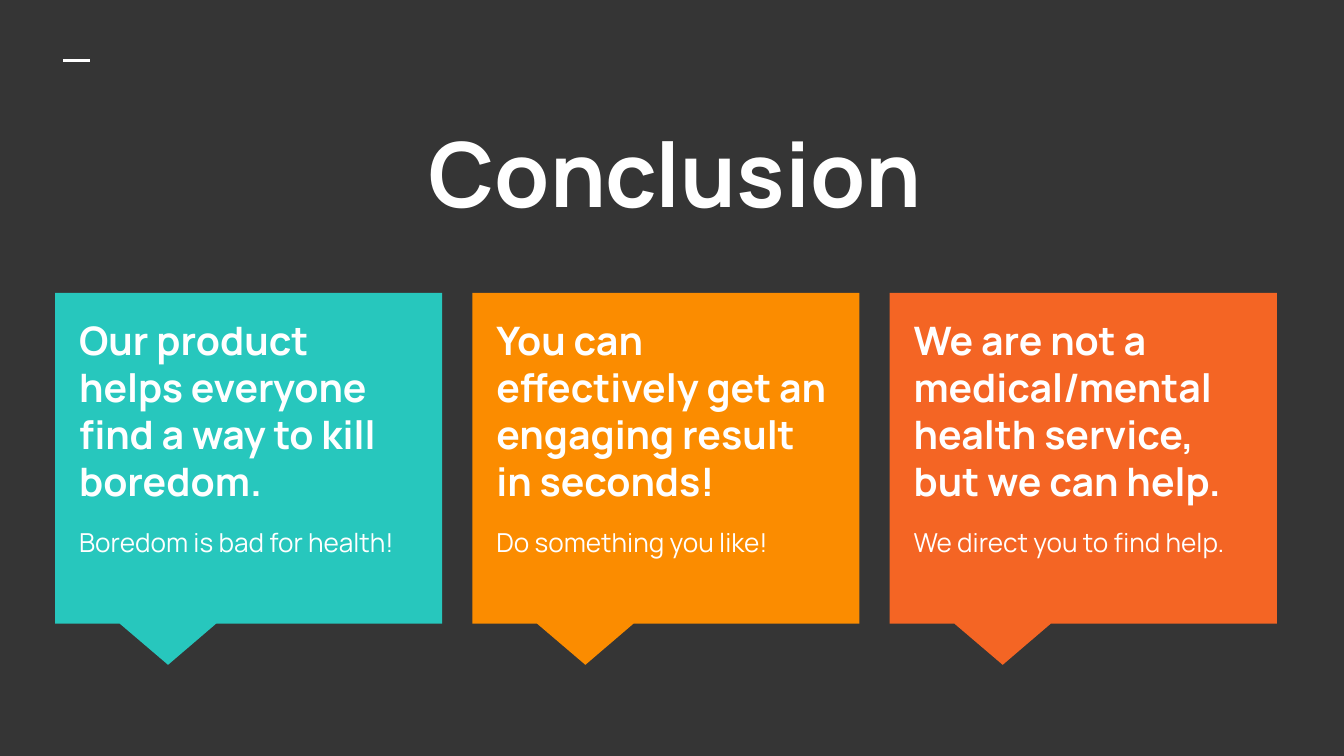
from lxml import etree
from pptx import Presentation
from pptx import util as u
from pptx.dml import color
from pptx.enum import shapes, text

WIDE = 10
HIGH = WIDE * 9 / 16
WHITE = "FFFFFF"
CARDS = [
    ("27C7BD", "Our product helps everyone find a way to kill boredom.",
     "Boredom is bad for health!"),
    ("FB8C00", "You can effectively get an engaging result in seconds!",
     "Do something you like!"),
    ("F46524", "We are not a medical/mental health service, but we can help.",
     "We direct you to find help."),
]
HEAD = {"size": u.Pt(21), "bold": True}
NOTE = {"size": u.Pt(14), "bold": False}
GAP = {"space_before": u.Pt(12), "space_after": u.Pt(12)}


def apply(item, values):
    """Set each named attribute on an object."""
    for name, value in values.items():
        setattr(item, name, value)


def paint(fill, tone):
    """Give a fill a solid hex colour."""
    fill.solid()
    fill.fore_color.rgb = color.RGBColor.from_string(tone)


def write(slide, box, lines):
    """Place a text box with one formatted paragraph per line."""
    frame = slide.shapes.add_textbox(*map(u.Inches, box)).text_frame
    sides = ("left", "top", "right", "bottom")
    apply(frame, {f"margin_{side}": u.Inches(0.1) for side in sides})
    apply(frame, {"word_wrap": True, "vertical_anchor": text.MSO_ANCHOR.TOP})
    for i, (words, font, form) in enumerate(lines):
        para = frame.add_paragraph() if i else frame.paragraphs[0]
        apply(para, form)
        run = para.add_run()
        run.text = words
        apply(run.font, {"name": "Manrope", **font})
        paint(run.font.fill, WHITE)


def header(slide, box):
    """Draw the short dash and the centred title."""
    left, top, wide, high = box
    ends = (left + 0.47, top + 0.45, left + 0.67, top + 0.45)
    dash = slide.shapes.add_connector(
        shapes.MSO_CONNECTOR.STRAIGHT, *map(u.Inches, ends))
    dash.line.width = u.Pt(1.5)
    paint(dash.line.fill, WHITE)
    space = "{http://schemas.openxmlformats.org/drawingml/2006/main}"
    etree.SubElement(dash._element.spPr, space + "effectLst")
    write(slide, (left + 0.31, top + 0.78, wide - 0.57, high - 0.78),
          [("Conclusion", {"size": u.Pt(48), "bold": True},
            {"alignment": text.PP_ALIGN.CENTER})])


def card(slide, box, tone, claim, note):
    """Draw a speech callout with a claim and a note."""
    left, top, wide, high = box
    shape = slide.shapes.add_shape(
        shapes.MSO_SHAPE.RECTANGULAR_CALLOUT, *map(u.Inches, box))
    shape.adjustments[0], shape.adjustments[1] = -0.208, 0.625
    shape.shadow.inherit = False
    shape.line.fill.background()
    paint(shape.fill, tone)
    write(slide, (left + 0.08, top + 0.07, wide - 0.17, high - 0.27),
          [(claim, HEAD, {}), (note, NOTE, GAP)])


def build():
    """Build and save the conclusion slide."""
    deck = Presentation()
    apply(deck, {"slide_width": u.Inches(WIDE), "slide_height": u.Inches(HIGH)})
    slide = deck.slides.add_slide(deck.slide_layouts[6])
    paint(slide.background.fill, "353535")
    header(slide, (0, 0, WIDE, 1.9))
    for i, parts in enumerate(CARDS):
        card(slide, (0.41 + i * 3.105, 2.18, 2.88, 2.46), *parts)
    deck.save("out.pptx")


build()
